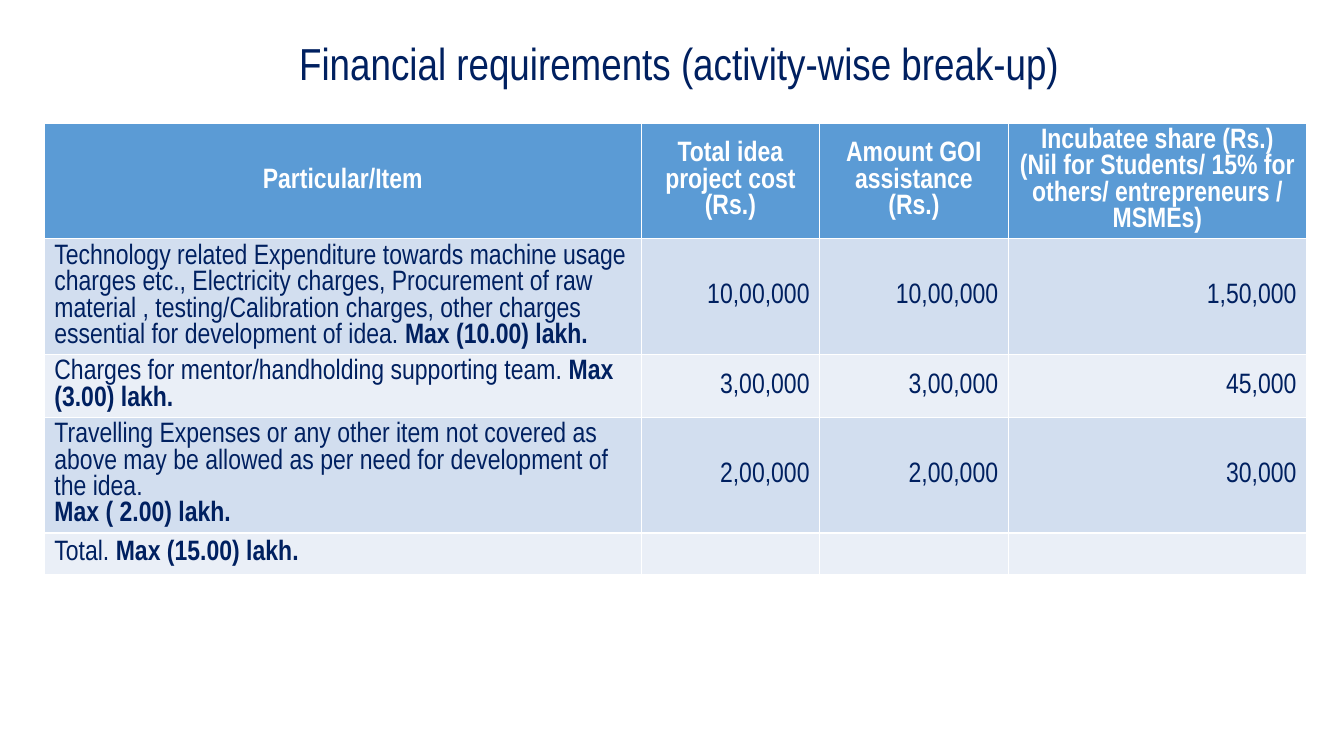
from dataclasses import dataclass

from pptx import Presentation
from pptx.dml.color import RGBColor
from pptx.enum.text import MSO_ANCHOR, PP_ALIGN
from pptx.util import Inches, Pt

COLORS = {
    "navy": "002060",
    "white": "FFFFFF",
    "header": "5B9BD5",
    "odd": "D2DEEF",
    "even": "EAEFF7",
}
FONT = "Arial Narrow"
COLUMN_SHARES = (44.41, 13.28, 14.03, 22.2)
ROW_SHARE = 5.47
HEADERS = (
    "Particular/Item",
    "Total idea project cost (Rs.)",
    "Amount GOI assistance (Rs.)",
    "Incubatee share (Rs.)\n(Nil for Students/ 15% for others/ entrepreneurs / MSMEs)",
)


@dataclass
class Expense:
    item: str
    limit: str
    amounts: tuple[str, ...] = ("", "", "")
    limit_below: bool = False


EXPENSES = (
    Expense(
        "Technology related Expenditure towards machine usage charges etc., "
        "Electricity charges, Procurement of raw material , testing/Calibration "
        "charges, other charges essential for development of idea. ",
        "Max (10.00) lakh.",
        ("10,00,000", "10,00,000", "1,50,000"),
    ),
    Expense(
        "Charges for mentor/handholding supporting team. ",
        "Max (3.00) lakh.",
        ("3,00,000", "3,00,000", "45,000"),
    ),
    Expense(
        "Travelling Expenses or any other item not covered as above may be "
        "allowed as per need for development of the idea.",
        "Max ( 2.00) lakh.",
        ("2,00,000", "2,00,000", "30,000"),
        limit_below=True,
    ),
    Expense("Total. ", "Max (15.00) lakh."),
)

prs = Presentation()
prs.slide_width, prs.slide_height = Inches(13.33), Inches(7.5)


def across(percent: float) -> int:
    return round(prs.slide_width * percent / 100)


def down(percent: float) -> int:
    return round(prs.slide_height * percent / 100)


def add_text(p, text: str, *, size: int = 20, color: str = "navy",
             bold: bool = False, align=PP_ALIGN.LEFT) -> None:
    p.alignment = align
    r = p.add_run()
    r.text = text
    r.font.name, r.font.size, r.font.bold = FONT, Pt(size), bold
    r.font.color.rgb = RGBColor.from_string(COLORS[color])


def style_cell(cell, fill: str) -> None:
    cell.vertical_anchor = MSO_ANCHOR.MIDDLE
    cell.fill.solid()
    cell.fill.fore_color.rgb = RGBColor.from_string(COLORS[fill])


def fill_header(cell, text: str) -> None:
    style_cell(cell, "header")
    tf = cell.text_frame
    for i, line in enumerate(text.split("\n")):
        p = tf.add_paragraph() if i else tf.paragraphs[0]
        add_text(p, line, color="white", bold=True, align=PP_ALIGN.CENTER)


def fill_expense(cells, expense: Expense, fill: str) -> None:
    for cell in cells:
        style_cell(cell, fill)
    p = cells[0].text_frame.paragraphs[0]
    add_text(p, expense.item)
    if expense.limit_below:
        p.add_line_break()
    add_text(p, expense.limit, bold=True)
    for cell, amount in zip(cells[1:], expense.amounts):
        if amount:
            add_text(cell.text_frame.paragraphs[0], amount, align=PP_ALIGN.RIGHT)


def add_title(s, text: str) -> None:
    sp = s.shapes.title
    sp.left, sp.top = across(11.4), down(4.67)
    sp.width, sp.height = across(78.32), down(8)
    tf = sp.text_frame
    tf.vertical_anchor = MSO_ANCHOR.MIDDLE
    p = tf.paragraphs[0]
    p.line_spacing = 0.9
    add_text(p, text, size=32, align=PP_ALIGN.CENTER)


def add_expense_table(s) -> None:
    rows = len(EXPENSES) + 1
    table = s.shapes.add_table(
        rows, len(HEADERS), across(3.3), down(16.27),
        across(sum(COLUMN_SHARES)), down(ROW_SHARE * rows),
    ).table
    for column, share in zip(table.columns, COLUMN_SHARES):
        column.width = across(share)
    for cell, text in zip(table.rows[0].cells, HEADERS):
        fill_header(cell, text)
    for i, expense in enumerate(EXPENSES, start=1):
        fill_expense(list(table.rows[i].cells), expense, "odd" if i % 2 else "even")


def main() -> None:
    s = prs.slides.add_slide(prs.slide_layouts[5])
    add_title(s, "Financial requirements (activity-wise break-up)")
    add_expense_table(s)
    prs.save("out.pptx")


if __name__ == "__main__":
    main()
